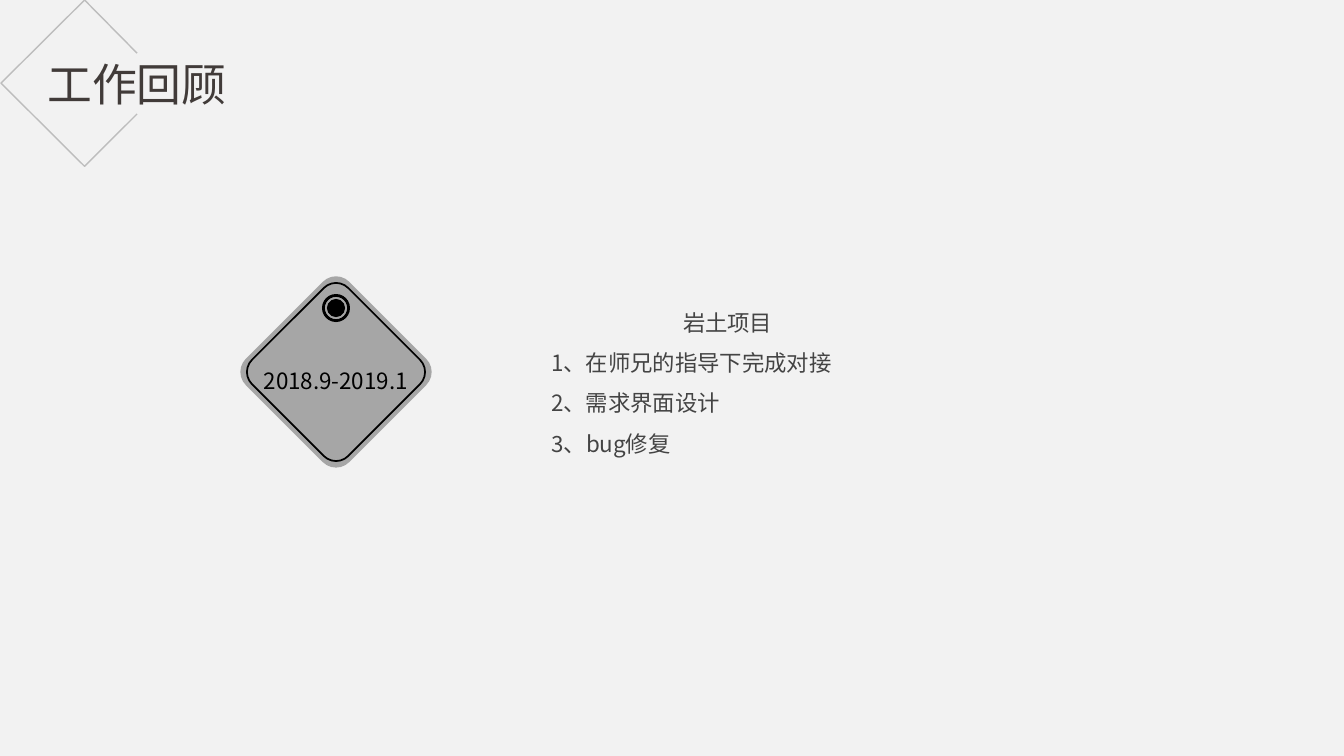
from lxml.etree import SubElement
from pptx import Presentation
from pptx.dml.color import RGBColor
from pptx.enum.shapes import MSO_SHAPE
from pptx.enum.text import MSO_ANCHOR, MSO_AUTO_SIZE, PP_ALIGN
from pptx.oxml.ns import qn
from pptx.util import Pt

FONT = "Noto Sans CJK SC"
PAPER = RGBColor(0xF2, 0xF2, 0xF2)
PLATE_GRAY = RGBColor(0xA6, 0xA6, 0xA6)
FRAME_GRAY = RGBColor(0x80, 0x80, 0x80)
BLACK = RGBColor(0, 0, 0)
BODY_GRAY = RGBColor(0x44, 0x44, 0x44)
TITLE_BROWN = RGBColor(0x41, 0x3B, 0x39)


class SlideBuilder:
    """Holds the font and the current slide; all lengths are in points."""

    def __init__(self, slide, font):
        self.slide = slide
        self.font = font

    def background(self, color):
        fill = self.slide.background.fill
        fill.solid()
        fill.fore_color.rgb = color

    def paint(self, shape, fill=None, line=None, width=1):
        shape.shadow.inherit = False
        if fill is None:
            shape.fill.background()
        else:
            shape.fill.solid()
            shape.fill.fore_color.rgb = fill
        if line is None:
            shape.line.fill.background()
        else:
            shape.line.color.rgb = line
            shape.line.width = Pt(width)

    def centered(self, kind, cx, cy, size, turn=0, corner=None, **style):
        shape = self.slide.shapes.add_shape(
            kind, Pt(cx - size / 2), Pt(cy - size / 2), Pt(size), Pt(size))
        shape.rotation = turn
        if corner is not None:
            shape.adjustments[0] = corner
        self.paint(shape, **style)

    def open_outline(self, points, color, width, opacity):
        start, *rest = [(Pt(x), Pt(y)) for x, y in points]
        builder = self.slide.shapes.build_freeform(*start)
        builder.add_line_segments(rest, close=False)
        outline = builder.convert_to_shape()
        self.paint(outline, line=color, width=width)
        rgb = outline.line._ln.find(".//" + qn("a:srgbClr"))
        SubElement(rgb, qn("a:alpha"), val=str(opacity * 1000))

    def text_box(self, box, lines, **style):
        holder = self.slide.shapes.add_textbox(*map(Pt, box))
        self.set_lines(holder, box, lines, **style)

    def set_lines(self, holder, box, lines, size, color, spacing=1.0, inset=None):
        """Fill a holder with (text, alignment) lines."""
        holder.left, holder.top, holder.width, holder.height = map(Pt, box)
        frame = holder.text_frame
        frame.word_wrap = True
        frame.auto_size = MSO_AUTO_SIZE.SHAPE_TO_FIT_TEXT
        frame.vertical_anchor = MSO_ANCHOR.TOP
        if inset is not None:
            frame.margin_left = frame.margin_right = Pt(inset)
            frame.margin_top = frame.margin_bottom = Pt(inset)
        for i, (text, align) in enumerate(lines):
            paragraph = frame.add_paragraph() if i else frame.paragraphs[0]
            props = paragraph._p.get_or_add_pPr()
            props.set("marL", "0")
            props.set("indent", "0")
            SubElement(props, qn("a:buNone"))
            paragraph.alignment = align
            paragraph.line_spacing = spacing
            paragraph.space_before = Pt(0)
            run = paragraph.add_run()
            run.text = text
            run.font.size = Pt(size)
            run.font.color.rgb = color
            run.font.name = self.font
            east_asian = SubElement(run._r.rPr, qn("a:ea"), typeface=self.font)
            run._r.rPr.find(qn("a:latin")).addnext(east_asian)


def main():
    deck = Presentation()
    deck.slide_width, deck.slide_height = Pt(960), Pt(540)
    slide = deck.slides.add_slide(deck.slide_layouts[1])
    page = SlideBuilder(slide, FONT)
    page.background(PAPER)

    # Title with its open diamond frame
    page.set_lines(slide.shapes.title, (26.6, 36.7, 217.4, 46),
                   [("工作回顾", PP_ALIGN.LEFT)], size=32, color=TITLE_BROWN)
    page.open_outline([(97.9, 38), (60.4, 0), (0.7, 59.4), (60.4, 118.8), (97.9, 81.4)],
                      FRAME_GRAY, width=1, opacity=45)

    # Diamond tag with its hole and date
    tag_x, tag_y, hole_y = 240, 265.7, 220
    page.centered(MSO_SHAPE.ROUNDED_RECTANGLE, tag_x, tag_y, 104.4,
                  turn=45, corner=0.127, fill=PLATE_GRAY)
    page.centered(MSO_SHAPE.ROUNDED_RECTANGLE, tag_x, tag_y, 97.2,
                  turn=45, corner=0.127, line=BLACK, width=1.25)
    page.centered(MSO_SHAPE.OVAL, tag_x, hole_y, 13, fill=BLACK)
    page.centered(MSO_SHAPE.OVAL, tag_x, hole_y, 18, line=BLACK, width=2)
    page.text_box((161.3, 252.7, 157, 26), [("2018.9-2019.1", PP_ALIGN.CENTER)],
                  size=16, color=BLACK, spacing=1.5, inset=0)

    # Project tasks
    tasks = ["1、在师兄的指导下完成对接", "2、需求界面设计", "3、bug修复"]
    page.set_lines(slide.placeholders[1], (393.8, 211, 252, 116.6),
                   [("岩土项目", PP_ALIGN.CENTER)] + [(task, PP_ALIGN.LEFT) for task in tasks],
                   size=16, color=BODY_GRAY, spacing=1.5, inset=0)

    deck.save("out.pptx")


if __name__ == "__main__":
    main()
